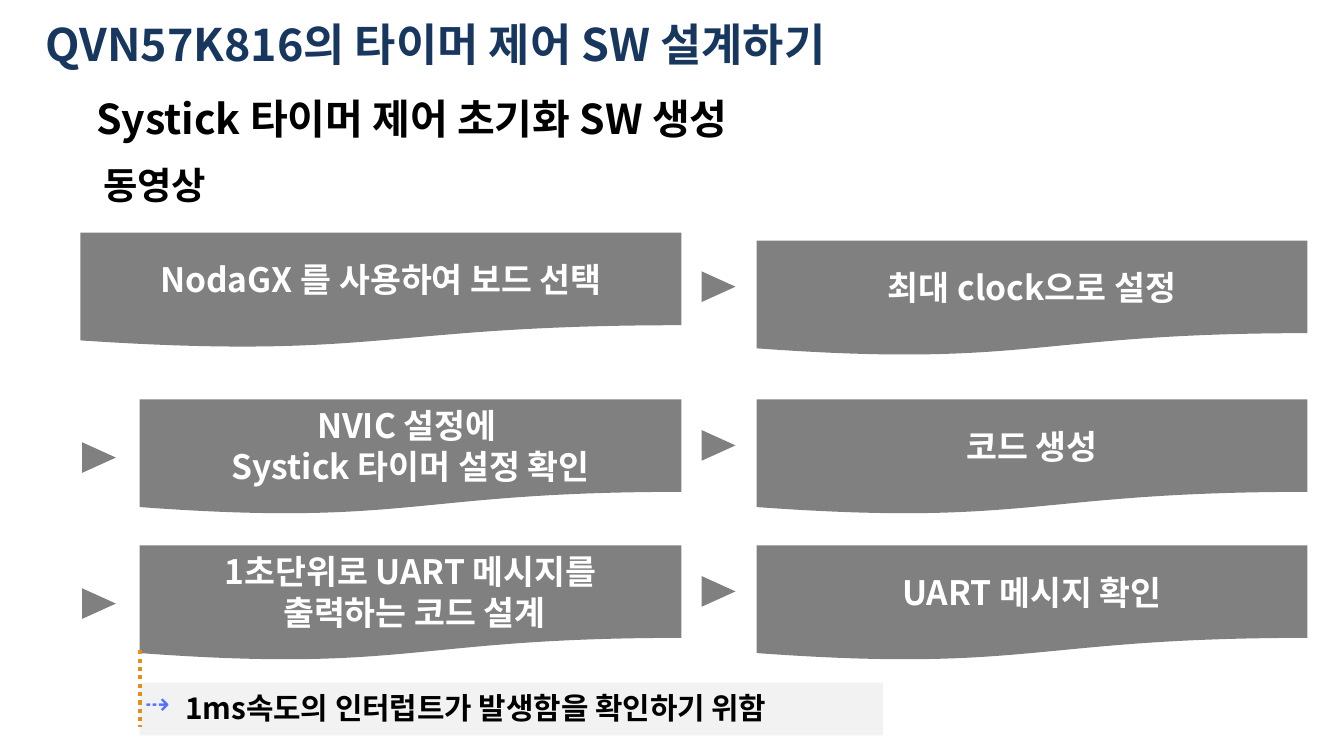
from lxml import etree
from pptx import Presentation
from pptx import util as u
from pptx.dml.color import RGBColor
from pptx.enum import dml, shapes, text
from pptx.oxml.ns import qn

HUES = {"navy": "17375E", "black": "000000", "white": "FFFFFF", "gray": "808080",
        "pale": "F2F2F2", "blue": "536FFF", "gold": "E48E1C"}
FONT = "Noto Sans CJK KR"
KIND = shapes.MSO_SHAPE


def hue(name):
    return RGBColor.from_string(HUES[name])


def write(shape, words, size=18, color="black", align="LEFT", anchor="MIDDLE",
          inset=(0, 0, 0, 0), wrap=True, before=0, after=0):
    frame = shape.text_frame
    frame.word_wrap = wrap
    frame.vertical_anchor = getattr(text.MSO_ANCHOR, anchor)
    (frame.margin_left, frame.margin_top,
     frame.margin_right, frame.margin_bottom) = map(u.Cm, inset)
    frame.text = ""
    para = frame.paragraphs[0]
    para.alignment = getattr(text.PP_ALIGN, align)
    para.space_before, para.space_after = u.Pt(before), u.Pt(after)
    for i, line in enumerate(words.splitlines()):
        if i:
            para.add_line_break()
        run = para.add_run()
        run.text = line
        run.font.name, run.font.size, run.font.bold = FONT, u.Pt(size), True
        run.font.color.rgb = hue(color)
        etree.SubElement(run.font._element, qn("a:ea"), typeface=FONT)
    return para


class Board:
    def __init__(self, deck):
        self.slide = deck.slides.add_slide(deck.slide_layouts[5])
        self.items = self.slide.shapes

    def title(self, words, *area):
        box = self.items.title
        box.left, box.top, box.width, box.height = map(u.Cm, area)
        write(box, words, size=24, color="navy", anchor="TOP", wrap=False,
              inset=(0.25, 0.13, 0.25, 0.13))
        box.text_frame.auto_size = text.MSO_AUTO_SIZE.SHAPE_TO_FIT_TEXT

    def label(self, words, *area, **style):
        box = self.items.add_textbox(*map(u.Cm, area))
        write(box, words, inset=(0.3, 0, 0, 0), **style)

    def shape(self, kind, *area, fill="gray"):
        item = self.items.add_shape(kind, *map(u.Cm, area))
        item.shadow.inherit = False
        item.fill.solid()
        item.fill.fore_color.rgb = hue(fill)
        item.line.fill.background()
        return item

    def step(self, words, *area):
        item = self.shape(KIND.FLOWCHART_DOCUMENT, *area)
        write(item, words, color="white", align="CENTER", wrap=False)

    def arrow(self, left, top):
        self.shape(KIND.ISOSCELES_TRIANGLE, left, top, 0.58, 0.64).rotation = 90

    def note(self, words, *area):
        item = self.shape(KIND.DOUBLE_BRACKET, *area, fill="pale")
        item.adjustments[0] = 0
        para = write(item, words, size=16, anchor="TOP", wrap=False, after=6,
                     inset=(0.1, 0.13, 0.25, 0.13))
        props = para._p.get_or_add_pPr()
        props.set("marL", str(u.Cm(0.76)))
        props.set("indent", str(-u.Cm(0.76)))
        tint = etree.SubElement(props, qn("a:buClr"))
        etree.SubElement(tint, qn("a:srgbClr"), val=HUES["blue"])
        etree.SubElement(props, qn("a:buChar"), char="⇢")

    def line(self, *ends):
        item = self.items.add_connector(shapes.MSO_CONNECTOR.STRAIGHT, *map(u.Cm, ends))
        item.line.color.rgb = hue("gold")
        item.line.width = u.Pt(2.25)
        item.line.dash_style = dml.MSO_LINE.ROUND_DOT
        etree.SubElement(item._element.spPr, qn("a:effectLst"))


def main():
    deck = Presentation()
    deck.slide_width, deck.slide_height = u.Cm(25.4), u.Cm(14.29)
    board = Board(deck)
    board.title("QVN57K816의 타이머 제어 SW 설계하기", 0.61, 0.18, 15.9, 1.27)
    board.label("Systick 타이머 제어 초기화 SW 생성", 1.52, 1.78, 23.19, 0.89, size=22)
    board.label("동영상", 1.65, 3.07, 17.15, 0.84, size=20, before=7)

    edge, right, wide, tall = 12.88, 14.3, 10.41, 2.18
    rows = [
        (1.52, 4.4, "NodaGX 를 사용하여 보드 선택", 4.55, "최대 clock으로 설정"),
        (2.64, 7.55, "NVIC 설정에 \nSystick 타이머 설정 확인", 7.55, "코드 생성"),
        (2.64, 10.31, "1초단위로 UART 메시지를\n 출력하는 코드 설계", 10.31, "UART 메시지 확인"),
    ]
    for i, (left, top, first, level, second) in enumerate(rows):
        board.step(first, left, top, edge - left, tall)
        board.step(second, right, level, wide, tall)
        board.arrow(13.29, level + 0.55)
        if i:
            board.arrow(1.58, top + 0.78)

    board.note("1ms속도의 인터럽트가 발생함을 확인하기 위함", 2.64, 12.91, 14.05, 0.99)
    board.line(2.64, 12.29, 2.64, 13.74)
    deck.save("out.pptx")


if __name__ == "__main__":
    main()
